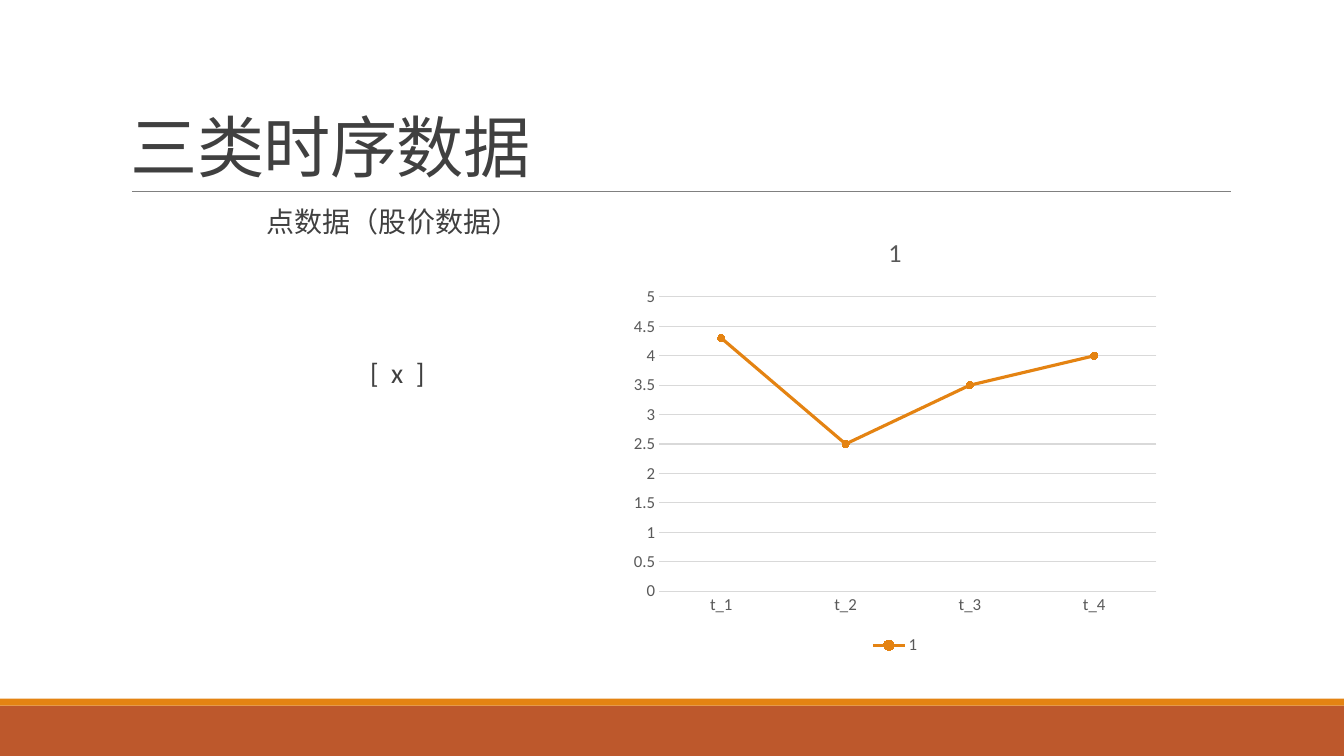
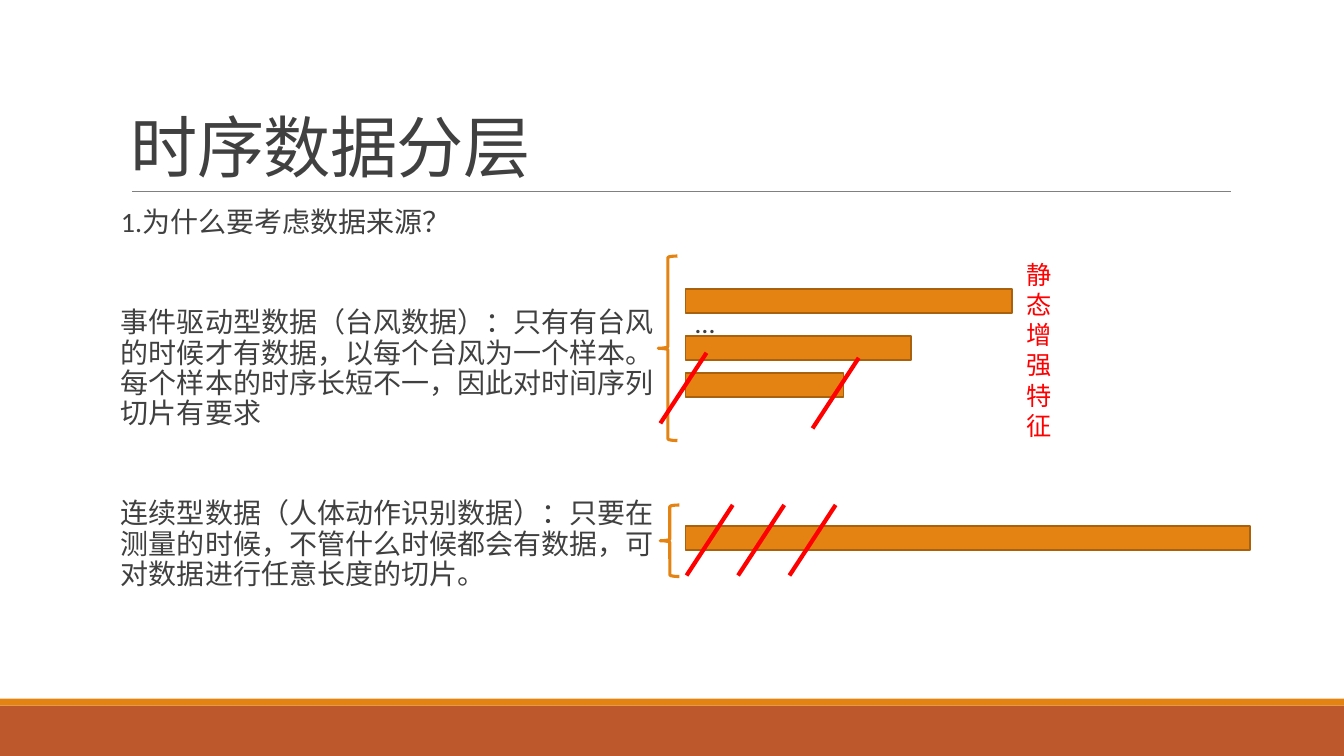
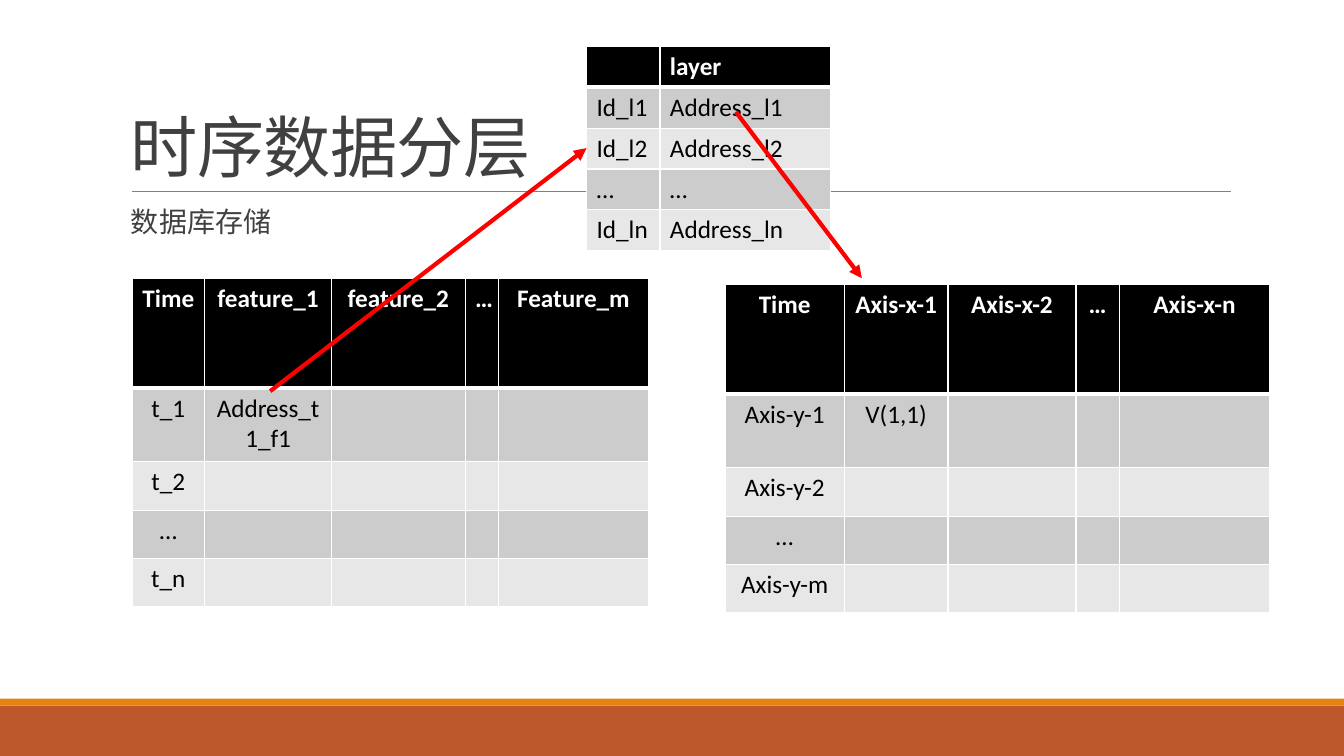
"""Build three slides on time series data and its layered storage."""
from lxml.etree import SubElement
from pptx import Presentation
from pptx.chart.data import CategoryChartData
from pptx.dml.color import RGBColor
from pptx.enum.chart import XL_CHART_TYPE, XL_LEGEND_POSITION, XL_MARKER_STYLE, XL_TICK_MARK
from pptx.enum.shapes import MSO_CONNECTOR, MSO_SHAPE
from pptx.enum.text import MSO_ANCHOR, PP_ALIGN
from pptx.oxml.ns import qn
from pptx.util import Pt

RECT, BRACE = MSO_SHAPE.RECTANGLE, MSO_SHAPE.LEFT_BRACE
STRAIGHT = MSO_CONNECTOR.STRAIGHT
LEFT, CENTER = PP_ALIGN.LEFT, PP_ALIGN.CENTER
TOP, BOTTOM = MSO_ANCHOR.TOP, MSO_ANCHOR.BOTTOM
LINE_CHART = XL_CHART_TYPE.LINE_MARKERS
BELOW = XL_LEGEND_POSITION.BOTTOM
CIRCLE = XL_MARKER_STYLE.CIRCLE
NO_TICK = XL_TICK_MARK.NONE
FONT = "Calibri"
HEX = {
    "rust": "BD582C", "orange": "E48312", "brown": "A9610D", "red": "FF0000",
    "ink": "404040", "label": "595959", "rule": "808080", "grid": "D9D9D9",
    "black": "000000", "white": "FFFFFF", "dark": "CCCCCC", "light": "E7E7E7",
}
RGB = {name: RGBColor.from_string(code) for name, code in HEX.items()}
BODY_X, BODY_Y, BODY_W = 86.4, 145.4, 388.8
SIDE_X = 489.6
STEP = 36


def text(slide, box, paras, size=20, color="ink", align=LEFT, anchor=TOP,
         lead=0.9, gap=12, pad=0, track=0):
    frame = slide.shapes.add_textbox(*map(Pt, box)).text_frame
    frame.word_wrap = True
    frame.vertical_anchor = anchor
    frame.margin_left = frame.margin_right = Pt(pad)
    for num, words in enumerate(paras):
        para = frame.add_paragraph() if num else frame.paragraphs[0]
        para.alignment = align
        para.line_spacing = lead
        para.space_before, para.space_after = Pt(gap), Pt(2)
        run = para.add_run()
        run.text = words
        run.font.name, run.font.size = FONT, Pt(size)
        run.font.color.rgb = RGB[color]
        if track:
            run._r.get_or_add_rPr().set("spc", str(round(track * 100)))


def line(slide, ends, color="red", width=3, arrow=False):
    stroke = slide.shapes.add_connector(STRAIGHT, *map(Pt, ends))
    stroke.line.color.rgb = RGB[color]
    stroke.line.width = Pt(width)
    props = stroke.element.spPr
    if arrow:
        SubElement(props.find(qn("a:ln")), qn("a:tailEnd"), type="triangle")
    SubElement(props, qn("a:effectLst"))


deck = Presentation()
deck.slide_width, deck.slide_height = Pt(960), Pt(540)
blank = deck.slide_layouts[6]

slides = []
shapes = []
for title in ["三类时序数据", "时序数据分层", "时序数据分层"]:
    slide = deck.slides.add_slide(blank)
    slides.append(slide)
    shapes += [
        (slide, RECT, (0, 504, 960, 36), "rust", None, 0),
        (slide, RECT, (0, 499, 960, 5), "orange", None, 0),
    ]
    line(slide, (94.3, 136.8, 879.1, 136.8), "rule", 0.5)
    text(slide, (BODY_X, 22.3, 792, 114.5), [title], 48, anchor=BOTTOM,
         lead=0.85, gap=0, pad=7.2, track=-0.5)
points, layers, store = slides

for y, width in [(206.6, 233.3), (266.4, 113), (239.8, 161.3), (375.8, 403.2)]:
    shapes.append((layers, RECT, (SIDE_X, y, width, 17.3), "orange", "brown", 1.25))
for box in [(470.2, 182.9, 13.7, 131.8), (471.6, 360.7, 13.7, 51.1)]:
    shapes.append((layers, BRACE, box, None, "orange", 2.25))
for slide, kind, box, fill, edge, width in shapes:
    shape = slide.shapes.add_shape(kind, *map(Pt, box))
    shape.shadow.inherit = False
    if fill:
        shape.fill.solid()
        shape.fill.fore_color.rgb = RGB[fill]
    else:
        shape.fill.background()
    if edge:
        shape.line.color.rgb = RGB[edge]
        shape.line.width = Pt(width)
    else:
        shape.line.fill.background()

text(points, (BODY_X, BODY_Y, BODY_W, STEP), ["点数据（股价数据）"], align=CENTER)
text(points, (BODY_X + 3, BODY_Y + 3 * STEP, BODY_W, STEP), ["[ x ]"],
     align=CENTER, track=2.25)

data = CategoryChartData()
data.categories = ["t_1", "t_2", "t_3", "t_4"]
data.add_series("1", [4.3, 2.5, 3.5, 4])
frame = points.shapes.add_chart(LINE_CHART, Pt(445), Pt(154.1), Pt(388.8), Pt(316.8), data)
chart = frame.chart
chart.font.name, chart.font.size = FONT, Pt(12)
chart.font.color.rgb = RGB["label"]
chart.has_title = True
run = chart.chart_title.text_frame.paragraphs[0].add_run()
run.text = "1"
run.font.name, run.font.size, run.font.bold = FONT, Pt(18.6), False
run.font.color.rgb = RGB["label"]
chart.chart_title.include_in_layout = False
chart.has_legend = True
chart.legend.position = BELOW
chart.legend.include_in_layout = False
cats, vals = chart.category_axis, chart.value_axis
for axis in [cats, vals]:
    axis.major_tick_mark = axis.minor_tick_mark = NO_TICK
vals.minimum_scale, vals.maximum_scale, vals.major_unit = 0, 5, 0.5
vals.format.line.fill.background()
for rule in [cats.format.line, vals.major_gridlines.format.line]:
    rule.color.rgb = RGB["grid"]
    rule.width = Pt(0.75)
chart.plots[0].vary_by_categories = False
series = chart.plots[0].series[0]
series.smooth = False
series.format.line.color.rgb = RGB["orange"]
series.format.line.width = Pt(2.25)
mark = series.marker
mark.style, mark.size = CIRCLE, 5
mark.format.fill.solid()
mark.format.fill.fore_color.rgb = RGB["orange"]
mark.format.line.color.rgb = RGB["orange"]

text(layers, (BODY_X, BODY_Y, BODY_W, 316.8), [
    "1.为什么要考虑数据来源？",
    "事件驱动型数据（台风数据）：只有有台风的时候才有数据，以每个台风为一个样本。"
    "每个样本的时序长短不一，因此对时间序列切片有要求",
    "连续型数据（人体动作识别数据）：只要在测量的时候，不管什么时候都会有数据，"
    "可对数据进行任意长度的切片。",
], gap=12 + STEP)
text(layers, (SIDE_X + 7.2, BODY_Y + 2 * STEP, BODY_W, STEP), ["…"])
text(layers, (725.8, 181.4, 33, 138.2), ["静态增强特征"], 18, "red",
     lead=1, gap=0, pad=7.2)
for x, y in [(523.4, 360.7), (560.2, 360.7), (596.9, 360.7), (504.7, 252), (613.4, 255.6)]:
    line(layers, (x, y, x - 33, y + 50.4))

text(store, (BODY_X + 7.2, BODY_Y, BODY_W, STEP), ["数据库存储"])
tall = [78.5, 52.6, 34.6, 34.6, 34.6]
tables = [
    (94.3, 198.7, [51.9, 90.7, 95.4, 23.6, 107.6], tall, CENTER, [
        ["Time", "feature_1", "feature_2", "…", "Feature_m"],
        ["t_1", "Address_t1_f1"], ["t_2"], ["…"], ["t_n"]]),
    (419, 33.1, [52.4, 121.7], [29.2] * 5, LEFT, [
        ["", "layer"], ["Id_l1", "Address_l1"], ["Id_l2", "Address_l2"],
        ["…", "…"], ["Id_ln", "Address_ln"]]),
    (518, 203, [85, 74.2, 91.4, 31, 107.3], tall, CENTER, [
        ["Time", "Axis-x-1", "Axis-x-2", "…", "Axis-x-n"],
        ["Axis-y-1", "V(1,1)"], ["Axis-y-2"], ["…"], ["Axis-y-m"]]),
]
for x, y, widths, heights, align, words in tables:
    size = (len(heights), len(widths))
    table = store.shapes.add_table(*size, Pt(x), Pt(y), Pt(sum(widths)), Pt(sum(heights))).table
    table.first_row = table.horz_banding = False
    for col, width in zip(table.columns, widths):
        col.width = Pt(width)
    for num, row in enumerate(table.rows):
        row.height = Pt(heights[num])
        back = "light" if num % 2 == 0 else "dark"
        if num == 0:
            back = "black"
        for pos, cell in enumerate(row.cells):
            props = cell._tc.get_or_add_tcPr()
            for side in "LRTB":
                thick = (num, side) in [(0, "B"), (1, "T")]
                edge = SubElement(props, qn("a:ln" + side), w=str(Pt(3 if thick else 1)))
                fill = SubElement(edge, qn("a:solidFill"))
                SubElement(fill, qn("a:srgbClr"), val=HEX["white"])
            cell.fill.solid()
            cell.fill.fore_color.rgb = RGB[back]
            if pos < len(words[num]) and words[num][pos]:
                para = cell.text_frame.paragraphs[0]
                para.alignment = align
                run = para.add_run()
                run.text = words[num][pos]
                run.font.name, run.font.size = FONT, Pt(18)
                run.font.bold = num == 0
                run.font.color.rgb = RGB["black" if num else "white"]
for ends in [(193, 279.4, 419, 105.8), (525.6, 79.9, 615.6, 198.7)]:
    line(store, ends, arrow=True)

deck.save("out.pptx")
